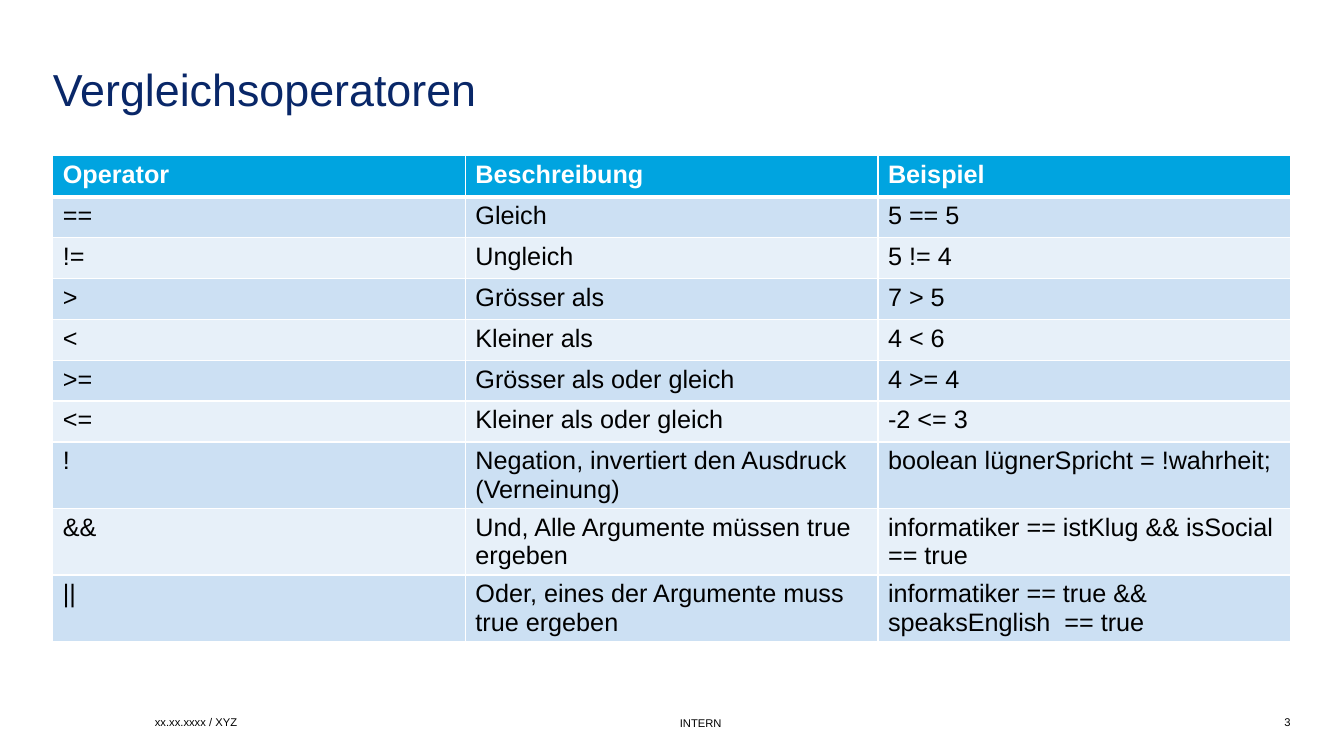
from lxml import etree
from pptx import Presentation
from pptx import util as u
from pptx.dml import color
from pptx.enum import text
from pptx.oxml import ns

OPERATORS = [
    ("Operator", "Beschreibung", "Beispiel"),
    ("==", "Gleich", "5 == 5"),
    ("!=", "Ungleich", "5 != 4"),
    (">", "Grösser als", "7 > 5"),
    ("<", "Kleiner als", "4 < 6"),
    (">=", "Grösser als oder gleich", "4 >= 4"),
    ("<=", "Kleiner als oder gleich", "-2 <= 3"),
    ("!", "Negation, invertiert den Ausdruck (Verneinung)",
     "boolean lügnerSpricht = !wahrheit;"),
    ("&&", "Und, Alle Argumente müssen true ergeben",
     "informatiker == istKlug && isSocial == true"),
    ("||", "Oder, eines der Argumente muss true ergeben",
     "informatiker == true && speaksEnglish  == true"),
]
NAVY, BLUE, WHITE, BLACK = "092768", "00A4E0", "FFFFFF", "000000"
BANDS = ("E7F0F9", "CCE0F3")
LEFT, WIDTH = 37.7, 884.2


def rgb(value):
    return color.RGBColor.from_string(value)


def assign(target, values):
    for name, value in values.items():
        setattr(target, name, value)


class OperatorSlide:
    """Holds the text style and the current slide, and draws each kind of element."""

    def __init__(self, slide, font="Arial"):
        self.slide = slide
        self.font = font

    def label(self, frame, words, size, ink, bold=False, **layout):
        frame.text = words
        paragraph = frame.paragraphs[0]
        assign(paragraph, {"alignment": text.PP_ALIGN.LEFT, **layout})
        style = paragraph.runs[0].font
        assign(style, {"name": self.font, "size": u.Pt(size), "bold": bold})
        style.color.rgb = rgb(ink)

    def frame(self, shape, box, top_inset, anchor):
        assign(shape, dict(zip(("left", "top", "width", "height"), map(u.Pt, box))))
        assign(shape.text_frame, {
            "word_wrap": True, "auto_size": text.MSO_AUTO_SIZE.NONE,
            "vertical_anchor": anchor, "margin_left": 0, "margin_right": 0,
            "margin_top": u.Pt(top_inset), "margin_bottom": 0})
        return shape.text_frame

    def title(self, words, box):
        heading = self.frame(self.slide.shapes.title, box, 0, text.MSO_ANCHOR.BOTTOM)
        self.label(heading, words, 32, NAVY, line_spacing=u.Pt(32))

    def footer(self, words, box, alignment=text.PP_ALIGN.LEFT):
        note = self.slide.shapes.add_textbox(*map(u.Pt, box))
        self.label(self.frame(note, box, 2.9, text.MSO_ANCHOR.TOP),
                   words, 8, BLACK, alignment=alignment)

    def borders(self, cell, **widths):
        properties = cell._tc.get_or_add_tcPr()
        for position, side in enumerate("LRTB"):
            edge = etree.Element(ns.qn(f"a:ln{side}"), w=str(u.Pt(widths.get(side, 1))))
            fill = etree.SubElement(edge, ns.qn("a:solidFill"))
            etree.SubElement(fill, ns.qn("a:srgbClr"), val=WHITE)
            properties.insert(position, edge)

    def table(self, rows, box, row_height):
        holder = self.slide.shapes.add_table(len(rows), len(rows[0]), *map(u.Pt, box))
        grid = holder.table
        for index, entries in enumerate(rows):
            grid.rows[index].height = u.Pt(row_height)
            header = index == 0
            edges = {"B": 3} if header else {"T": 3} if index == 1 else {}
            for column, words in enumerate(entries):
                cell = grid.cell(index, column)
                cell.fill.solid()
                cell.fill.fore_color.rgb = rgb(BLUE if header else BANDS[index % 2])
                self.label(cell.text_frame, words, 18,
                           WHITE if header else BLACK, bold=header)
                self.borders(cell, **edges)
        holder.height = u.Pt(box[3])


def main():
    deck = Presentation()
    assign(deck, {"slide_width": u.Pt(960), "slide_height": u.Pt(540)})
    page = OperatorSlide(deck.slides.add_slide(deck.slide_layouts.get_by_name("Title Only")))
    page.title("Vergleichsoperatoren", (LEFT, 15.1, WIDTH, 67.7))
    page.table(OPERATORS, (LEFT, 111.3, WIDTH, 355.7), 29.2)
    page.footer("xx.xx.xxxx / XYZ", (110.6, 508.2, 363.6, 15))
    page.footer("INTERN", (485.6, 508.7, 372.2, 14.4))
    page.footer("3", (873.1, 508.2, 48.8, 15), text.PP_ALIGN.RIGHT)
    deck.save("out.pptx")


if __name__ == "__main__":
    main()
